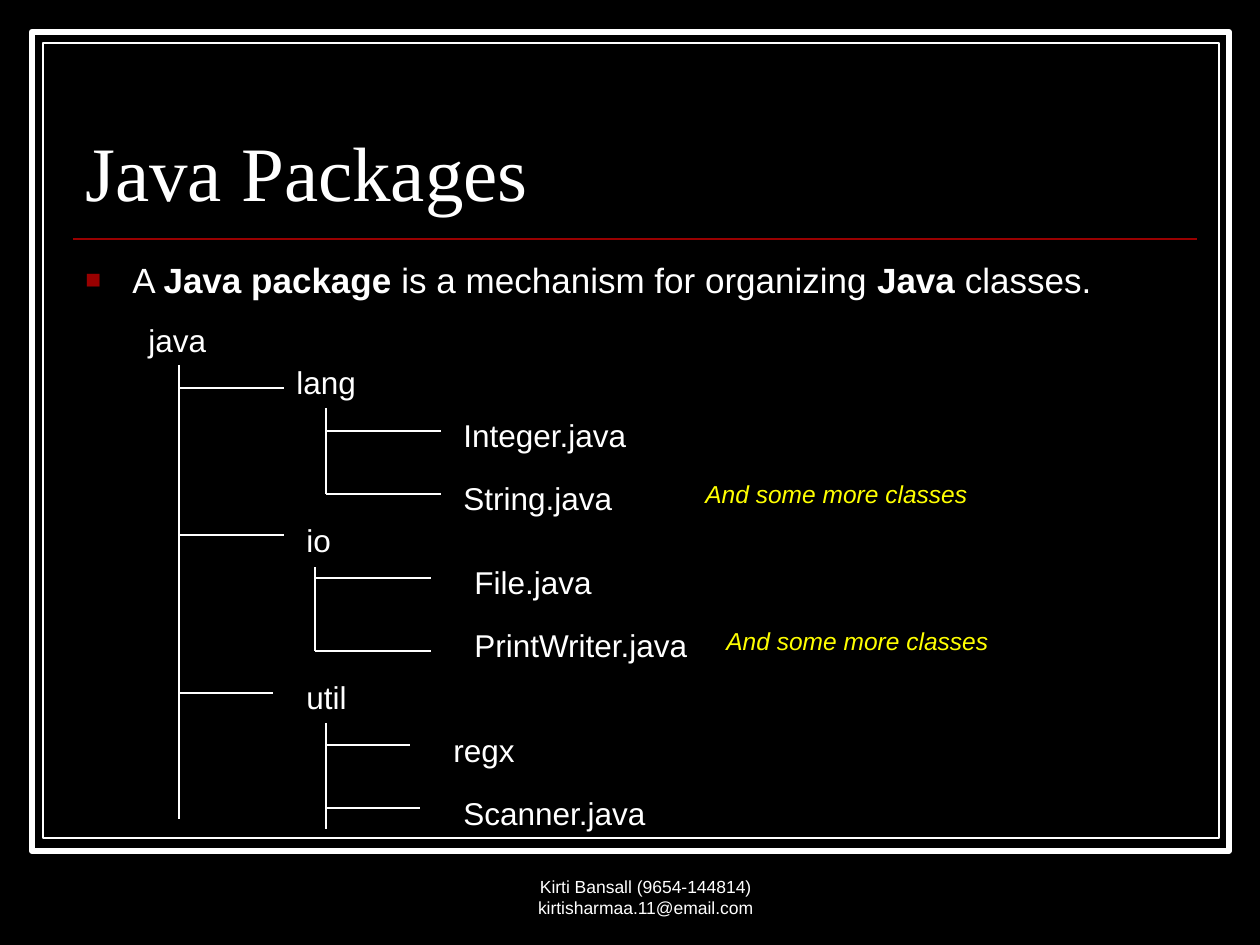
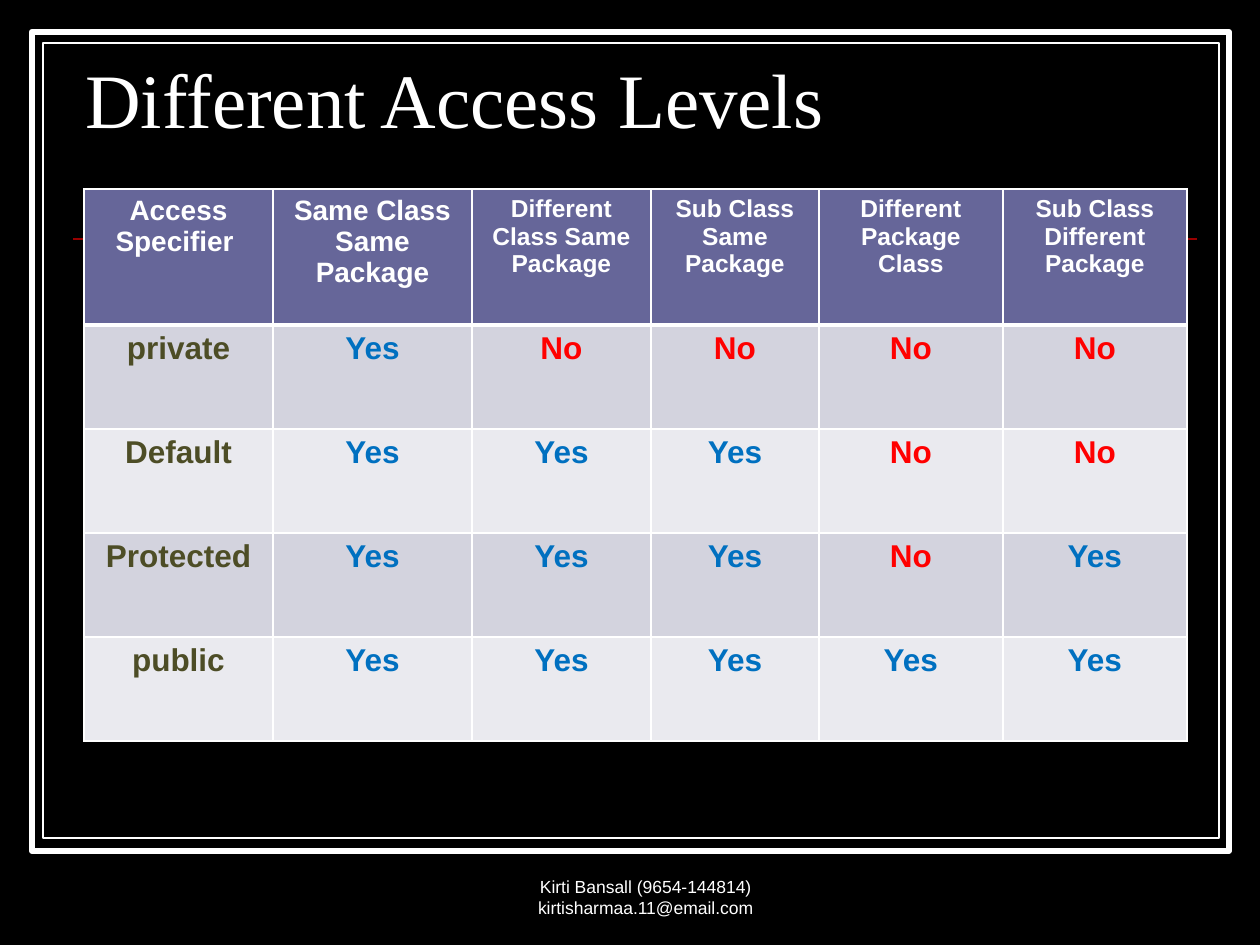
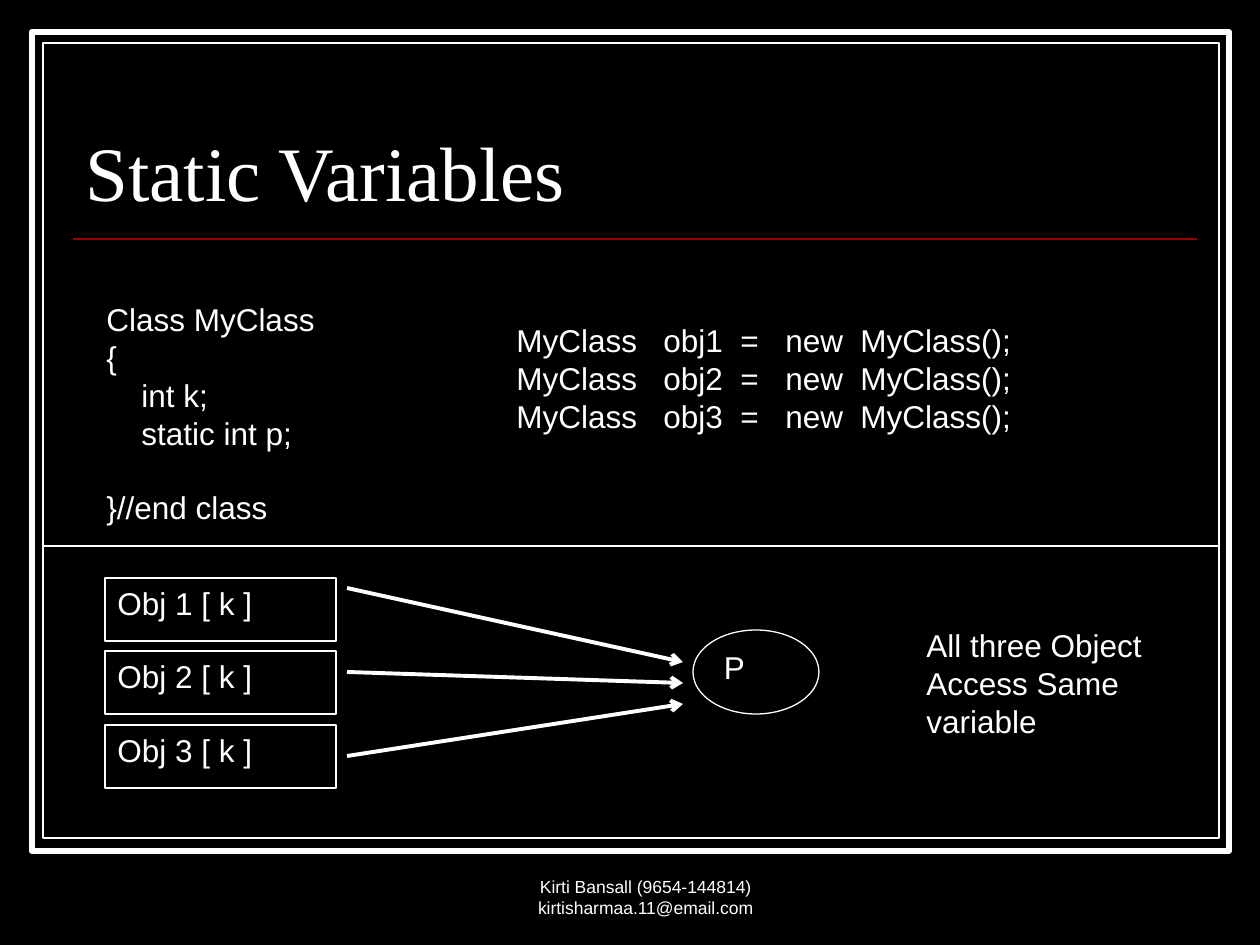
from lxml.etree import SubElement
from pptx import Presentation
from pptx.dml.color import RGBColor
from pptx.enum.shapes import MSO_CONNECTOR as Link, MSO_SHAPE as Preset
from pptx.enum.text import MSO_ANCHOR as Anchor, MSO_AUTO_SIZE as AutoSize, PP_ALIGN as Align
from pptx.oxml.ns import qn
from pptx.util import Emu, Pt

EMU_PER_PX = 914400 / 126
SANS, SERIF = "Arial", "Times New Roman"
COLORS = {
    "back": "000000", "ink": "FFFFFF", "rule": "990000", "remark": "FFFF00",
    "header": "666699", "odd_row": "D3D3DE", "even_row": "EAEAEF",
    "specifier": "4D4D26", "Yes": "0070C0", "No": "FF0000",
}
FOOTER = "Kirti Bansall (9654-144814) kirtisharmaa.11@email.com"

PACKAGE_LABELS = [
    (136, 315, 83, "java"),
    (284, 357, 86, "lang"),
    (451, 410, 190, "Integer.java"),
    (451, 473, 175, "String.java"),
    (294, 515, 50, "io"),
    (462, 557, 144, "File.java"),
    (462, 620, 241, "PrintWriter.java"),
    (294, 672, 66, "util"),
    (441, 725, 87, "regx"),
    (451, 788, 209, "Scanner.java"),
]
REMARKS = [(693, 473), (714, 620)]
STEMS = [
    (179, 365, 819, [(388, 284), (535, 284), (693, 273)]),
    (326, 408, 494, [(431, 441), (494, 441)]),
    (315, 567, 651, [(578, 431), (651, 431)]),
    (326, 723, 829, [(745, 410), (808, 420)]),
]

ACCESS_COLUMNS = [
    ("Access\nSpecifier ", 189, 16),
    ("Same Class\nSame Package", 199, 16),
    ("Different Class Same Package", 179, 14),
    ("Sub Class\nSame Package", 168, 14),
    ("Different Package Class", 184, 14),
    ("Sub Class Different Package", 184, 14),
]
ACCESS_ROWS = [
    ("private", "Yes", "No", "No", "No", "No"),
    ("Default", "Yes", "Yes", "Yes", "No", "No"),
    ("Protected", "Yes", "Yes", "Yes", "No", "Yes"),
    ("public", "Yes", "Yes", "Yes", "Yes", "Yes"),
]


def px(length):
    return Emu(round(length * EMU_PER_PX))


def rgb(color):
    return RGBColor.from_string(COLORS[color])


def add_runs(paragraph, text, size=18, color="ink", font=SANS, bold=False, italic=False):
    for number, piece in enumerate(text.split("\n")):
        if number:
            paragraph.add_line_break()
        run = paragraph.add_run()
        run.text = piece
        run.font.name = font
        run.font.size = Pt(size)
        run.font.bold = bold
        run.font.italic = italic
        run.font.color.rgb = rgb(color)


def add_frame(slide, x, y, width, height, anchor=Anchor.TOP, wrap=True, grow=False):
    frame = slide.shapes.add_textbox(px(x), px(y), px(width), px(height)).text_frame
    frame.word_wrap = wrap
    frame.vertical_anchor = anchor
    frame.auto_size = AutoSize.SHAPE_TO_FIT_TEXT if grow else AutoSize.NONE
    return frame


def add_label(slide, x, y, width, height, text, **style):
    frame = add_frame(slide, x, y, width, height, wrap=False, grow=True)
    add_runs(frame.paragraphs[0], text, **style)


def add_outline(slide, preset, x, y, width, height, weight=0.75, fill=None, text=""):
    outline = slide.shapes.add_shape(preset, px(x), px(y), px(width), px(height))
    outline.shadow.inherit = False
    if fill:
        outline.fill.solid()
        outline.fill.fore_color.rgb = rgb(fill)
    else:
        outline.fill.background()
    outline.line.color.rgb = rgb("ink")
    outline.line.width = Pt(weight)
    if text:
        outline.text_frame.vertical_anchor = Anchor.TOP
        paragraph = outline.text_frame.paragraphs[0]
        paragraph.alignment = Align.LEFT
        add_runs(paragraph, text)


def add_line(slide, x1, y1, x2, y2, color="ink", weight=0.75, arrow=False):
    line = slide.shapes.add_connector(Link.STRAIGHT, px(x1), px(y1), px(x2), px(y2))
    line.line.color.rgb = rgb(color)
    line.line.width = Pt(weight)
    if arrow:
        SubElement(line.line._get_or_add_ln(), qn("a:tailEnd"), type="arrow")
    SubElement(line._element.spPr, qn("a:effectLst"))


def add_bullet(paragraph):
    properties = paragraph._p.get_or_add_pPr()
    properties.set("marL", str(px(47)))
    properties.set("indent", str(-px(47)))
    tint = SubElement(properties, qn("a:buClr"))
    SubElement(tint, qn("a:srgbClr"), val=COLORS["rule"])
    SubElement(properties, qn("a:buSzPct"), val="75000")
    SubElement(properties, qn("a:buFont"), typeface=SANS)
    SubElement(properties, qn("a:buChar"), char="■")


def add_tab_stops(paragraph, stops):
    tabs = SubElement(paragraph._p.get_or_add_pPr(), qn("a:tabLst"))
    for stop in stops:
        SubElement(tabs, qn("a:tab"), pos=str(px(stop)), algn="l")


def set_borders(cell, top, bottom):
    properties = cell._tc.get_or_add_tcPr()
    weights = {"a:lnL": 1, "a:lnR": 1, "a:lnT": top, "a:lnB": bottom}
    for position, (side, weight) in enumerate(weights.items()):
        border = properties.makeelement(qn(side), {"w": str(Pt(weight))})
        SubElement(SubElement(border, qn("a:solidFill")), qn("a:srgbClr"), val=COLORS["ink"])
        properties.insert(position, border)


def fill_cell(cell, text, size, color, fill, top=1, bottom=1):
    cell.fill.solid()
    cell.fill.fore_color.rgb = rgb(fill)
    set_borders(cell, top, bottom)
    paragraph = cell.text_frame.paragraphs[0]
    paragraph.alignment = Align.CENTER
    add_runs(paragraph, text, size, color, bold=True)


def start_slide(deck, title, title_y=66, title_height=157):
    slide = deck.slides.add_slide(deck.slide_layouts[6])
    slide.background.fill.solid()
    slide.background.fill.fore_color.rgb = rgb("back")
    add_outline(slide, Preset.RECTANGLE, 32, 32, 1197, 819, 3.5, "back")
    add_outline(slide, Preset.RECTANGLE, 43, 43, 1176, 795, 0.75, "back")
    add_line(slide, 73, 239, 1197, 239, "rule", 1)

    heading = add_frame(slide, 73, title_y, 1124, title_height, Anchor.BOTTOM).paragraphs[0]
    heading.line_spacing = 0.8
    add_runs(heading, title, 44, font=SERIF)

    contact = add_frame(slide, 446, 861, 399, 63, Anchor.BOTTOM).paragraphs[0]
    contact.alignment = Align.CENTER
    add_runs(contact, FOOTER, 10)
    return slide


def build_packages(deck):
    slide = start_slide(deck, "Java Packages")
    definition = add_frame(slide, 73, 252, 1124, 63).paragraphs[0]
    add_bullet(definition)
    phrases = ["A ", "Java package", " is a mechanism for organizing ", "Java", " classes."]
    for number, phrase in enumerate(phrases):
        add_runs(definition, phrase, 20, bold=number % 2 == 1)

    for stem_x, top, bottom, branches in STEMS:
        add_line(slide, stem_x, top, stem_x, bottom)
        for branch_y, branch_end in branches:
            add_line(slide, stem_x, branch_y, branch_end, branch_y)
    for x, y, width, name in PACKAGE_LABELS:
        add_label(slide, x, y, width, 50, name)
    for x, y in REMARKS:
        add_label(slide, x, y, 289, 43, "And some more classes",
                  size=14, color="remark", italic=True)


def build_access_levels(deck):
    slide = start_slide(deck, "Different Access Levels", 53, 97)
    levels = slide.shapes.add_table(
        len(ACCESS_ROWS) + 1, len(ACCESS_COLUMNS), px(84), px(189), px(1103), px(552)).table
    levels.first_row = levels.horz_banding = False
    levels.rows[0].height = px(136)
    for column, (heading, width, size) in enumerate(ACCESS_COLUMNS):
        levels.columns[column].width = px(width)
        fill_cell(levels.cell(0, column), heading, size, "ink", "header", bottom=3)
    for row, answers in enumerate(ACCESS_ROWS, 1):
        levels.rows[row].height = px(104)
        fill = "odd_row" if row % 2 else "even_row"
        for column, answer in enumerate(answers):
            color = answer if column else "specifier"
            fill_cell(levels.cell(row, column), answer, 18, color, fill,
                      top=3 if row == 1 else 1)


def build_static_variables(deck):
    slide = start_slide(deck, "Static Variables")
    code = add_frame(slide, 94, 294, 242, 242)
    code_lines = [("Class MyClass", 0, 0), ("{", 0, 0), ("int k;", 35, 0),
                  ("static int p;", 35, 0), ("}//end class", 0, 20.7)]
    for number, (text, indent, gap) in enumerate(code_lines):
        statement = code.add_paragraph() if number else code.paragraphs[0]
        statement._p.get_or_add_pPr().set("marL", str(px(indent)))
        statement.space_before = Pt(gap)
        add_runs(statement, text)

    creation = add_frame(slide, 504, 315, 524, 165)
    for number in range(1, 4):
        statement = creation.add_paragraph() if number > 1 else creation.paragraphs[0]
        add_tab_stops(statement, [147, 224, 269, 344])
        add_runs(statement, f"MyClass\tobj{number}\t=\tnew\tMyClass();")

    add_line(slide, 42, 546, 1218, 546)
    for number in range(3):
        add_outline(slide, Preset.RECTANGLE, 105, 578 + number * 147 // 2, 231, 63,
                    text=f"Obj {number + 1} [ k ]")
        add_line(slide, 347, 588 + 84 * number, 683, 662 + 21 * number,
                 weight=2.25, arrow=True)
    add_outline(slide, Preset.OVAL, 693, 630, 126, 84, text="P")
    add_label(slide, 914, 620, 252, 127, "All three Object\nAccess Same\nvariable")


def main():
    deck = Presentation()
    deck.slide_width, deck.slide_height = px(1260), px(945)
    build_packages(deck)
    build_access_levels(deck)
    build_static_variables(deck)
    deck.save("out.pptx")


if __name__ == "__main__":
    main()
